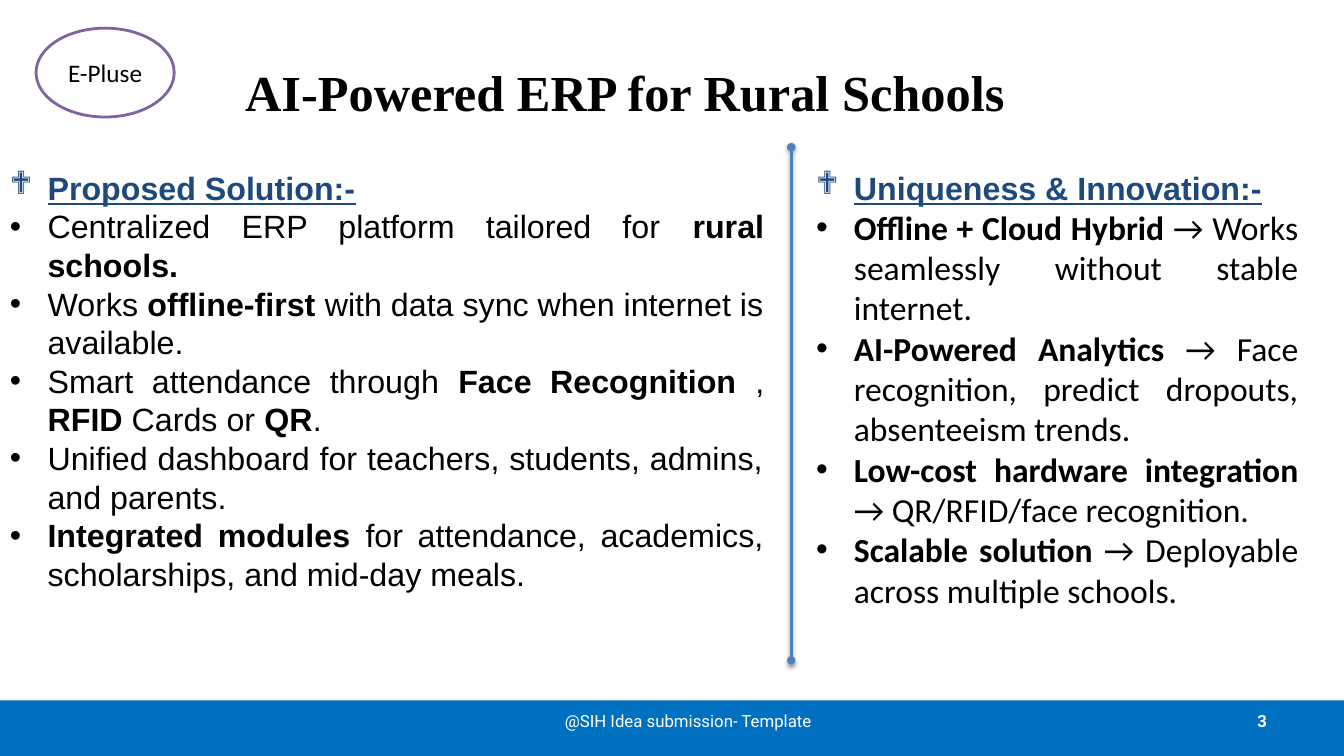
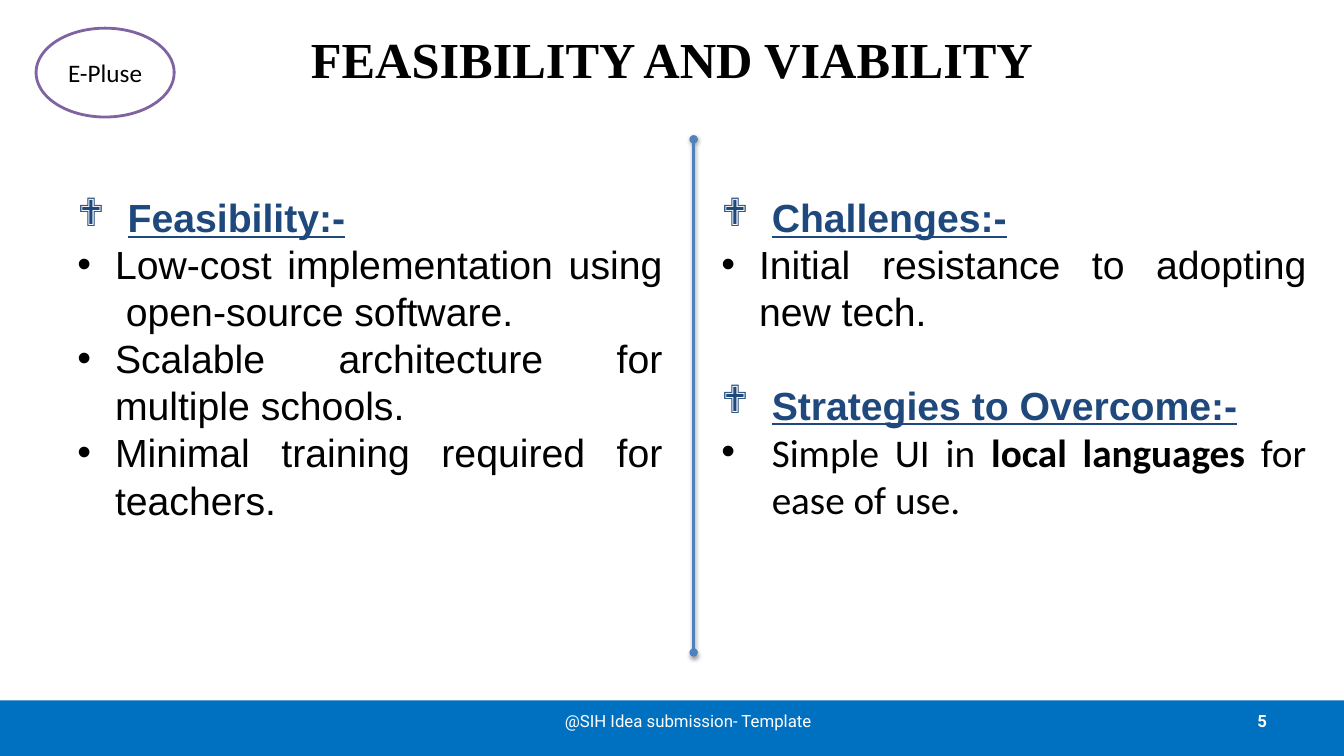
"""Build two school ERP slides with a shared title, badge, divider and footer."""
from dataclasses import dataclass

from lxml.etree import SubElement
from pptx import Presentation
from pptx.dml.color import RGBColor
from pptx.enum.shapes import MSO_CONNECTOR, MSO_SHAPE
from pptx.enum.text import MSO_ANCHOR, PP_ALIGN
from pptx.oxml.ns import qn
from pptx.util import Cm, Pt

WIDTH, HEIGHT = 33.87, 19.05
BAND_TOP = 17.65
BLACK, WHITE = "000000", "FFFFFF"
BAND_BLUE, HEADING_BLUE, DIVIDER_BLUE = "0070C0", "1F497D", "4F81BD"
BADGE_PURPLE = "8064A2"


@dataclass(frozen=True)
class Box:
    left: float
    top: float
    width: float
    height: float

    def lengths(self) -> tuple:
        return Cm(self.left), Cm(self.top), Cm(self.width), Cm(self.height)


@dataclass(frozen=True)
class Style:
    size: float
    font: str
    color: str = BLACK
    bold: bool = False
    underline: bool = False


@dataclass(frozen=True)
class Run:
    text: str
    bold: bool = False


@dataclass(frozen=True)
class Item:
    runs: tuple[Run, ...]
    style: Style
    bullet: str = "•"
    indent: float = 0.95
    space_before: float = 0


@dataclass(frozen=True)
class Column:
    box: Box
    items: tuple[Item, ...]


@dataclass(frozen=True)
class Page:
    number: int
    title: str
    title_box: Box
    divider_left: float
    divider_top: float
    columns: tuple[Column, ...]


TITLE = Style(36, "Times New Roman", bold=True)
FOOTER = Style(12, "Roboto", WHITE)
PAGE_NUMBER = Style(12, "Roboto", WHITE, bold=True)
BADGE = Style(18, "Calibri")
DIVIDER_HEIGHT = 12.93


def heading(text: str, size: float, indent: float, space_before: float = 0) -> Item:
    style = Style(size, "Arial", HEADING_BLUE, bold=True, underline=True)
    return Item((Run(text),), style, "❖", indent, space_before)


def rgb(color: str) -> RGBColor:
    return RGBColor.from_string(color)


def add_shadow(shape, color: str, opacity: int, blur: float, distance: float) -> None:
    effects = SubElement(shape._element.spPr, qn("a:effectLst"))
    shadow = SubElement(effects, qn("a:outerShdw"), blurRad=str(Pt(blur)),
                        dist=str(Pt(distance)), dir="5400000", rotWithShape="0")
    shade = SubElement(shadow, qn("a:srgbClr"), val=color)
    SubElement(shade, qn("a:alpha"), val=str(opacity * 1000))


def add_run(paragraph, text: str, style: Style, bold: bool = False) -> None:
    run = paragraph.add_run()
    run.text = text
    font = run.font
    font.size, font.name = Pt(style.size), style.font
    font.bold = style.bold or bold
    font.underline = style.underline
    font.color.rgb = rgb(style.color)


def add_label(slide, box: Box, text: str, style: Style,
              alignment: PP_ALIGN = PP_ALIGN.CENTER) -> None:
    frame = slide.shapes.add_textbox(*box.lengths()).text_frame
    frame.word_wrap = True
    frame.vertical_anchor = MSO_ANCHOR.MIDDLE
    paragraph = frame.paragraphs[0]
    paragraph.alignment = alignment
    add_run(paragraph, text, style)


def add_band(slide) -> None:
    box = Box(0, BAND_TOP, WIDTH, HEIGHT - BAND_TOP)
    band = slide.shapes.add_shape(MSO_SHAPE.RECTANGLE, *box.lengths())
    band.fill.solid()
    band.fill.fore_color.rgb = rgb(BAND_BLUE)
    band.line.fill.background()
    add_shadow(band, "808080", 35, 0, 1.8)


def add_badge(slide) -> None:
    box = Box(0.91, 0.71, 3.48, 2.24)
    badge = slide.shapes.add_shape(MSO_SHAPE.OVAL, *box.lengths())
    badge.shadow.inherit = False
    badge.fill.solid()
    badge.fill.fore_color.rgb = rgb(WHITE)
    badge.line.color.rgb = rgb(BADGE_PURPLE)
    badge.line.width = Pt(2)
    badge.text_frame.vertical_anchor = MSO_ANCHOR.MIDDLE
    paragraph = badge.text_frame.paragraphs[0]
    paragraph.alignment = PP_ALIGN.CENTER
    add_run(paragraph, "E-Pluse", BADGE)


def add_divider(slide, left: float, top: float) -> None:
    divider = slide.shapes.add_connector(
        MSO_CONNECTOR.STRAIGHT, Cm(left), Cm(top), Cm(left), Cm(top + DIVIDER_HEIGHT))
    divider.line.color.rgb = rgb(DIVIDER_BLUE)
    divider.line.width = Pt(2)
    outline = divider.line._get_or_add_ln()
    for end in ("a:headEnd", "a:tailEnd"):
        SubElement(outline, qn(end), type="oval")
    add_shadow(divider, BLACK, 38, 3.1, 1.6)


def add_bullet(paragraph, item: Item) -> None:
    properties = paragraph._p.get_or_add_pPr()
    properties.set("marL", str(Cm(item.indent)))
    properties.set("indent", str(-Cm(item.indent)))
    face = "Wingdings" if item.bullet == "❖" else "Arial"
    SubElement(properties, qn("a:buFont"), typeface=face)
    SubElement(properties, qn("a:buChar"), char=item.bullet)


def add_column(slide, column: Column) -> None:
    frame = slide.shapes.add_textbox(*column.box.lengths()).text_frame
    frame.word_wrap = True
    for index, item in enumerate(column.items):
        paragraph = frame.add_paragraph() if index else frame.paragraphs[0]
        paragraph.alignment = PP_ALIGN.JUSTIFY
        if item.space_before:
            paragraph.space_before = Pt(item.space_before)
        add_bullet(paragraph, item)
        for run in item.runs:
            add_run(paragraph, run.text, item.style, run.bold)


def add_page(presentation, page: Page) -> None:
    slide = presentation.slides.add_slide(presentation.slide_layouts[6])
    add_band(slide)
    add_label(slide, page.title_box, page.title, TITLE)
    add_label(slide, Box(24.28, BAND_TOP, 7.9, 1.02), str(page.number),
              PAGE_NUMBER, PP_ALIGN.RIGHT)
    add_label(slide, Box(12.9, BAND_TOP, 8.89, 1.02),
              "@SIH Idea submission- Template", FOOTER)
    add_badge(slide)
    for column in page.columns:
        add_column(slide, column)
    add_divider(slide, page.divider_left, page.divider_top)


SOLUTION = Style(23, "Arial")
INNOVATION = Style(24, "Calibri")
FEASIBILITY = Style(28, "Arial")
STRATEGY = Style(28, "Calibri")

PAGES = (
    Page(3, "AI-Powered ERP for Rural Schools", Box(0.51, 1.11, 30.48, 2.4), 19.94, 3.71, (
        Column(Box(0, 4.11, 19.51, 11.07), (
            heading("Proposed Solution:-", 23, 0.95),
            Item((Run("Centralized ERP platform tailored for "),
                  Run("rural schools.", True)), SOLUTION),
            Item((Run("Works "), Run("offline-first", True),
                  Run(" with data sync when internet is available.")), SOLUTION),
            Item((Run("Smart attendance through "), Run("Face Recognition ", True),
                  Run(", "), Run("RFID", True), Run(" Cards or "), Run("QR", True),
                  Run(".")), SOLUTION),
            Item((Run("Unified dashboard for teachers, students, admins, and parents."),),
                 SOLUTION),
            Item((Run("Integrated modules ", True),
                  Run("for attendance, academics, scholarships, and mid-day meals.")),
                 SOLUTION),
        )),
        Column(Box(20.32, 4.11, 12.65, 11.51), (
            heading("Uniqueness & Innovation:-", 23, 0.95),
            Item((Run("Offline + Cloud Hybrid", True),
                  Run(" → Works seamlessly without stable internet.")), INNOVATION),
            Item((Run("AI-Powered Analytics", True),
                  Run(" → Face recognition, predict dropouts, absenteeism trends.")),
                 INNOVATION),
            Item((Run("Low-cost hardware integration", True),
                  Run(" → QR/RFID/face recognition.")), INNOVATION),
            Item((Run("Scalable solution", True),
                  Run(" → Deployable across multiple schools.")), INNOVATION),
        )),
    )),
    Page(5, "FEASIBILITY AND VIABILITY", Box(1.7, 0.26, 30.48, 2.4), 17.48, 3.51, (
        Column(Box(1.7, 4.75, 15.24, 8.64), (
            heading("Feasibility:-", 28, 1.27),
            Item((Run("Low-cost implementation using  open-source software."),), FEASIBILITY),
            Item((Run("Scalable architecture for multiple schools."),), FEASIBILITY),
            Item((Run("Minimal training required for teachers."),), FEASIBILITY),
        )),
        Column(Box(17.93, 4.75, 15.24, 8.64), (
            heading("Challenges:-", 28, 1.27),
            Item((Run("Initial resistance to adopting new tech."),), FEASIBILITY),
            heading("Strategies to Overcome:-", 28, 1.27, 33),
            Item((Run("Simple UI in "), Run("local languages", True),
                  Run(" for ease of use.")), STRATEGY, indent=1.27),
        )),
    )),
)


def main() -> None:
    presentation = Presentation()
    presentation.slide_width, presentation.slide_height = Cm(WIDTH), Cm(HEIGHT)
    for page in PAGES:
        add_page(presentation, page)
    presentation.save("out.pptx")


if __name__ == "__main__":
    main()
